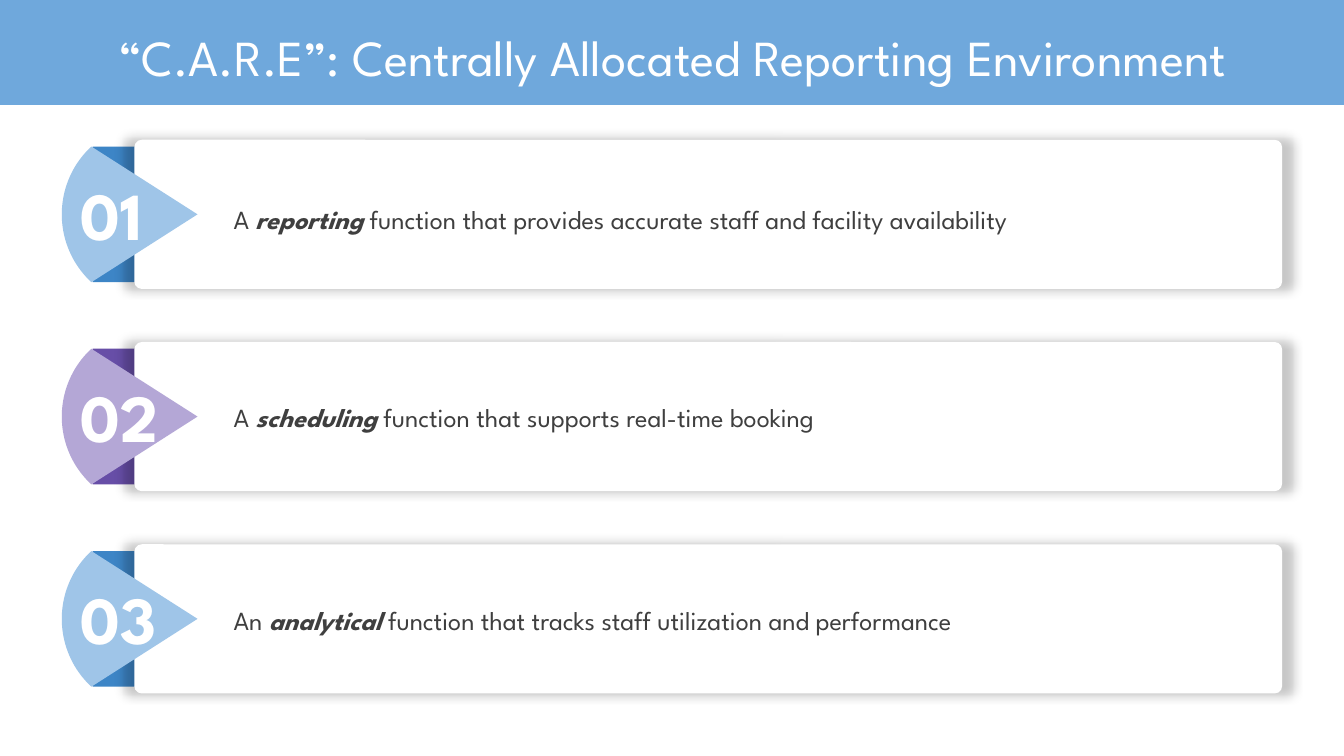
import math

from lxml import etree
from pptx import Presentation
from pptx.dml.color import RGBColor
from pptx.enum.shapes import MSO_SHAPE
from pptx.enum.text import MSO_ANCHOR, MSO_AUTO_SIZE, PP_ALIGN
from pptx.oxml.ns import qn
from pptx.util import Inches, Pt

RECTANGLE = MSO_SHAPE.RECTANGLE
ROUNDED = MSO_SHAPE.ROUNDED_RECTANGLE
MIDDLE = MSO_ANCHOR.MIDDLE
TOP = MSO_ANCHOR.TOP
CENTER = PP_ALIGN.CENTER
NO_AUTOFIT = MSO_AUTO_SIZE.NONE

FONT = "League Spartan"
COLORS = {
    "white": "FFFFFF",
    "banner": "6FA8DC",
    "text": "3F3F3F",
    "shadow": "000000",
    "blue": "3D85C6",
    "light blue": "9FC5E8",
    "purple": "674EA7",
    "light purple": "B4A7D6",
}
TITLE = "“C.A.R.E”: Centrally Allocated Reporting Environment"
ROWS = [
    (("A ", "reporting", " function that provides accurate staff and facility availability"), "blue", 0.2),
    (("A ", "scheduling", " function that supports real-time booking"), "purple", 0.17),
    (("An ", "analytical", " function that tracks staff utilization and performance"), "blue", 0.17),
]
CARD_HEIGHT = 1.11


def paint(shape, color):
    """Give a shape a plain fill without line or inherited shadow."""
    shape.shadow.inherit = False
    shape.fill.solid()
    shape.fill.fore_color.rgb = RGBColor.from_string(COLORS[color])
    shape.line.fill.background()


def add_box(slide, kind, box, color):
    """Add a preset shape in a box of left, top, width and height."""
    shape = slide.shapes.add_shape(kind, *map(Inches, box))
    paint(shape, color)
    return shape


def format_frame(frame, anchor, side, edge):
    """Set wrapping, anchor and margins of a text frame."""
    values = {
        "word_wrap": True, "auto_size": NO_AUTOFIT, "vertical_anchor": anchor,
        "margin_left": Inches(side), "margin_right": Inches(side),
        "margin_top": Inches(edge), "margin_bottom": Inches(edge),
    }
    for name, value in values.items():
        setattr(frame, name, value)


def add_run(paragraph, text, size, color, bold=False, italic=False):
    """Append a formatted run to a paragraph."""
    run = paragraph.add_run()
    run.text = text
    values = {"name": FONT, "size": Pt(size), "bold": bold, "italic": italic}
    for name, value in values.items():
        setattr(run.font, name, value)
    run.font.color.rgb = RGBColor.from_string(COLORS[color])


def add_text(slide, box, anchor, side):
    """Add a text box and return its first paragraph."""
    frame = slide.shapes.add_textbox(*map(Inches, box)).text_frame
    format_frame(frame, anchor, side, 0.05)
    return frame.paragraphs[0]


def add_soft_shadow(shape):
    """Add a blurred shadow slightly larger than the shape."""
    effects = shape._element.spPr.find(qn("a:effectLst"))
    shadow = etree.SubElement(
        effects, qn("a:outerShdw"), blurRad=str(Pt(5)), dist="0", dir="0",
        sx="102000", sy="102000", algn="ctr", rotWithShape="0")
    color = etree.SubElement(shadow, qn("a:srgbClr"), val=COLORS["shadow"])
    etree.SubElement(color, qn("a:alpha"), val="22000")


def add_wedge(slide, left, top, size, color):
    """Add a wedge with a round left side and its tip at the right."""
    bulge, half = 0.22, size / 2
    radius = (half ** 2 + bulge ** 2) / (2 * bulge)
    reach = math.asin(half / radius)
    steps = 40
    angles = [reach * (1 - 2 * step / steps) for step in range(steps + 1)]
    points = [
        (Inches(left + radius * (1 - math.cos(angle))),
         Inches(top + half + radius * math.sin(angle)))
        for angle in angles
    ]
    builder = slide.shapes.build_freeform(Inches(left + size), Inches(top + half))
    builder.add_line_segments(points, close=True)
    paint(builder.convert_to_shape(), color)


def add_header(slide, left, top, width, height):
    """Place the banner with the slide title on it."""
    add_box(slide, RECTANGLE, (left, top, width, height), "banner")
    title = slide.shapes.title
    place = {"left": left + 0.26, "top": top + 0.22, "width": width - 0.51, "height": 0.46}
    for name, value in place.items():
        setattr(title, name, Inches(value))
    slide.shapes._spTree.append(title._element)
    format_frame(title.text_frame, MIDDLE, 0.07, 0.04)
    paragraph = title.text_frame.paragraphs[0]
    values = {"alignment": CENTER, "line_spacing": 0.9, "space_after": Pt(16)}
    for name, value in values.items():
        setattr(paragraph, name, value)
    add_run(paragraph, TITLE, 27, "white")


def add_row(slide, left, top, width, number, parts, color, text_offset):
    """Place one numbered card with its tab, wedge and sentence."""
    add_box(slide, RECTANGLE, (left + 0.23, top + 0.05, 1.94, 1.01), color)
    card = add_box(slide, ROUNDED, (left + 0.54, top, width - 0.54, CARD_HEIGHT), "white")
    card.adjustments[0] = 0.05
    add_soft_shadow(card)
    add_wedge(slide, left, top + 0.05, 1.01, f"light {color}")
    sentence = add_text(slide, (left + 1.18, top + text_offset, width - 1.42, 0.78), MIDDLE, 0.1)
    for index, part in enumerate(parts):
        emphasis = index == 1
        add_run(sentence, part, 14, "text", emphasis, emphasis)
    label = add_text(slide, (left + 0.02, top + 0.2, 1.01, 0.61), TOP, 0.12)
    add_run(label, f"{number:02d}", 36, "white", bold=True)


def add_rows(slide, left, top, width, height):
    """Spread the cards evenly over the given box."""
    pitch = (height - CARD_HEIGHT) / (len(ROWS) - 1)
    for index, row in enumerate(ROWS):
        add_row(slide, left, top + index * pitch, width, index + 1, *row)


def main():
    """Build and save the slide."""
    presentation = Presentation()
    presentation.slide_width = Inches(10)
    presentation.slide_height = Inches(10 * 9 / 16)
    slide = presentation.slides.add_slide(presentation.slide_layouts[5])
    add_header(slide, 0, 0, 10, 0.78)
    add_rows(slide, 0.46, 1.04, 9.08, 4.12)
    presentation.save("out.pptx")


if __name__ == "__main__":
    main()
